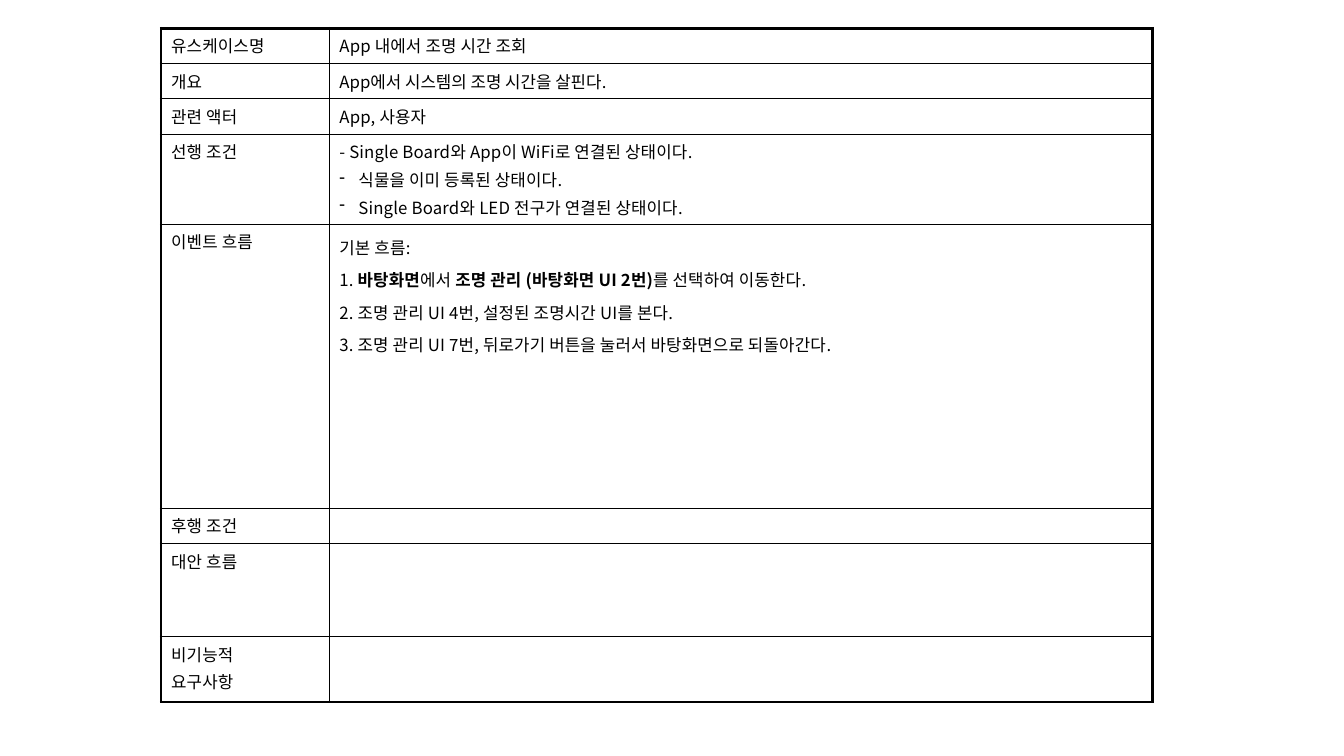
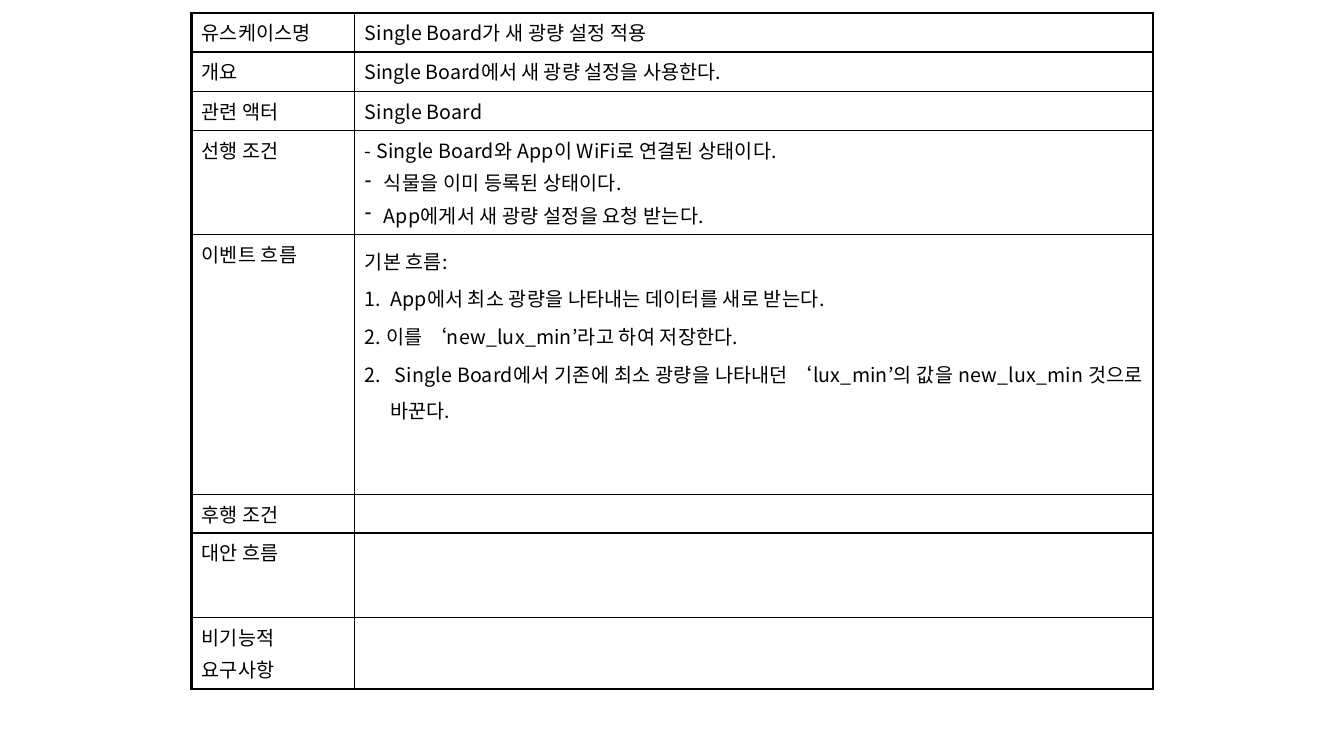
from dataclasses import dataclass

from lxml.etree import SubElement
from pptx import Presentation
from pptx.dml.color import RGBColor
from pptx.enum.text import PP_ALIGN
from pptx.oxml import parse_xml
from pptx.oxml.ns import nsdecls, qn
from pptx.util import Cm, Pt

BLACK = RGBColor(0x00, 0x00, 0x00)
FONT = "Noto Sans CJK KR"
OUTER_LINE, INNER_LINE = Pt(2.25), Pt(1)
DASH_INDENT, NUMBER_INDENT = Cm(0.48), Cm(0.64)

LABELS = [
    ["유스케이스명"],
    ["개요"],
    ["관련 액터"],
    ["선행 조건"],
    ["이벤트 흐름"],
    ["후행 조건"],
    ["대안 흐름"],
    ["비기능적", "요구사항"],
]
SUMMARY_ROW, FLOW_ROW = 1, 4


@dataclass
class Item:
    """A list paragraph: a dash, or a number when one is given."""
    text: str
    number: int = 0


@dataclass
class UseCase:
    """Font size in points, lengths in centimetres, one content list per label."""
    font_size: int
    left: float
    top: float
    columns: tuple
    rows: tuple
    contents: list


# Text between ** marks is bold.
USE_CASES = [
    UseCase(
        12, 4.06, 0.71, (4.24, 20.75),
        (0.89, 0.89, 0.89, 2.27, 7.16, 0.89, 2.34, 1.65),
        [
            ["App 내에서 조명 시간 조회"],
            ["App에서 시스템의 조명 시간을 살핀다."],
            ["App, 사용자"],
            [
                "- Single Board와 App이 WiFi로 연결된 상태이다.",
                Item("식물을 이미 등록된 상태이다."),
                Item("Single Board와 LED 전구가 연결된 상태이다."),
            ],
            [
                "기본 흐름:",
                "1. **바탕화면**에서 **조명 관리 (바탕화면 UI 2번)**를 선택하여 이동한다.",
                "2. 조명 관리 UI 4번, 설정된 조명시간 UI를 본다.",
                "3. 조명 관리 UI 7번, 뒤로가기 버튼을 눌러서 바탕화면으로 되돌아간다.",
            ],
            [], [], [],
        ],
    ),
    UseCase(
        14, 4.83, 0.33, (4.11, 20.12),
        (0.98, 1.0, 0.98, 2.61, 6.55, 0.98, 2.12, 1.81),
        [
            ["Single Board가 새 광량 설정 적용"],
            ["Single Board에서 새 광량 설정을 사용한다."],
            ["Single Board"],
            [
                "- Single Board와 App이 WiFi로 연결된 상태이다.",
                Item("식물을 이미 등록된 상태이다."),
                Item("App에게서 새 광량 설정을 요청 받는다."),
            ],
            [
                "기본 흐름:",
                Item("App에서 최소 광량을 나타내는 데이터를 새로 받는다.", 1),
                "2. 이를 ‘new_lux_min’라고 하여 저장한다.",
                Item(" Single Board에서 기존에 최소 광량을 나타내던 ‘lux_min’의 값을 "
                     "new_lux_min 것으로 바꾼다.", 2),
            ],
            [], [], [],
        ],
    ),
]


def set_bullet(paragraph, item):
    indent = NUMBER_INDENT if item.number else DASH_INDENT
    properties = paragraph._p.get_or_add_pPr()
    properties.set("marL", str(indent))
    properties.set("indent", str(-indent))
    if item.number:
        bullet = SubElement(properties, qn("a:buAutoNum"), type="arabicPeriod")
        if item.number > 1:
            bullet.set("startAt", str(item.number))
    else:
        SubElement(properties, qn("a:buChar"), char="-")


def add_runs(paragraph, text, font_size, spacing):
    for index, part in enumerate(text.split("**")):
        if not part:
            continue
        run = paragraph.add_run()
        run.text = part
        run.font.size = Pt(font_size)
        run.font.bold = index % 2 == 1
        run.font.color.rgb = BLACK
        run.font.name = FONT
        properties = run._r.get_or_add_rPr()
        properties.set("spc", str(spacing))
        SubElement(properties, qn("a:ea"), typeface=FONT)


def fill_cell(cell, lines, font_size, row):
    text_frame = cell.text_frame
    is_flow = row == FLOW_ROW and len(lines) > 1
    for index, line in enumerate(lines):
        paragraph = text_frame.add_paragraph() if index else text_frame.paragraphs[0]
        if is_flow:
            paragraph.alignment = PP_ALIGN.JUSTIFY
            paragraph.line_spacing = 1.25
        if index:
            paragraph.space_before = Pt(font_size * (0.1 if is_flow else 0.2))
        if isinstance(line, Item):
            set_bullet(paragraph, line)
            line = line.text
        add_runs(paragraph, line, font_size, 0 if row == SUMMARY_ROW else 10)
    if not lines:
        SubElement(text_frame.paragraphs[0]._p, qn("a:endParaRPr"), sz=str(font_size * 100))


def set_borders(cell, outer_sides):
    """Draw all four sides, thick where the side is on the table's edge."""
    properties = cell._tc.get_or_add_tcPr()
    for index, side in enumerate("LRTB"):
        width = OUTER_LINE if side in outer_sides else INNER_LINE
        properties.insert(index, parse_xml(
            f'<a:ln{side} {nsdecls("a")} w="{width}"><a:solidFill>'
            f'<a:srgbClr val="{BLACK}"/></a:solidFill></a:ln{side}>'))


def add_use_case(presentation, use_case):
    slide = presentation.slides.add_slide(presentation.slide_layouts[6])
    row_count = len(LABELS)
    table = slide.shapes.add_table(
        row_count, 2, Cm(use_case.left), Cm(use_case.top),
        Cm(sum(use_case.columns)), Cm(sum(use_case.rows))).table
    table.first_row = table.horz_banding = False
    for column, width in zip(table.columns, use_case.columns):
        column.width = Cm(width)
    for row, height in enumerate(use_case.rows):
        table.rows[row].height = Cm(height)
        edge = {0: "T", row_count - 1: "B"}.get(row, "")
        for column, lines in enumerate((LABELS[row], use_case.contents[row])):
            cell = table.cell(row, column)
            cell.fill.background()
            fill_cell(cell, lines, use_case.font_size, row)
            set_borders(cell, edge + "LR"[column])


def main():
    presentation = Presentation()
    presentation.slide_width, presentation.slide_height = Cm(33.87), Cm(19.05)
    for use_case in USE_CASES:
        add_use_case(presentation, use_case)
    presentation.save("out.pptx")


if __name__ == "__main__":
    main()
